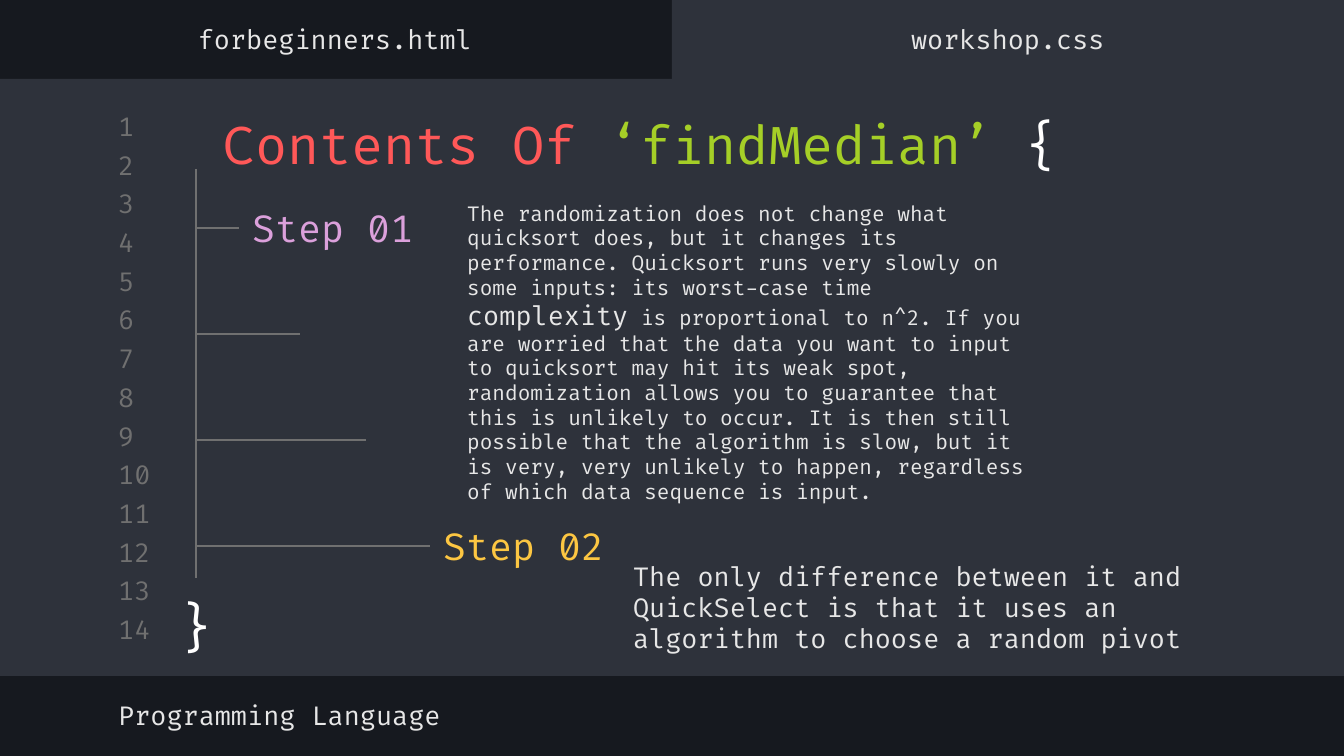
import pptx
import pptx.util
import pptx.dml.color
import pptx.enum.shapes
import pptx.enum.text
import pptx.oxml.ns
import lxml.etree

SCALE = 914400 / 134.4
FONT = "Fira Code"
INK = {
    "night": "16191F",
    "panel": "2E323B",
    "gray": "707070",
    "pale": "E7E7E7",
    "white": "FFFFFF",
    "red": "FF5858",
    "green": "A5CF27",
    "pink": "DBA0DB",
    "gold": "FCC642",
}
ALIGN = pptx.enum.text.PP_ALIGN
ANCHOR = pptx.enum.text.MSO_ANCHOR


def px(*nums):
    return [pptx.util.Emu(round(n * SCALE)) for n in nums]


def ink(name):
    return pptx.dml.color.RGBColor.from_string(INK[name])


def band(slide, *box):
    kind = pptx.enum.shapes.MSO_SHAPE.RECTANGLE
    shape = slide.shapes.add_shape(kind, *px(*box))
    shape.shadow.inherit = False
    shape.fill.solid()
    shape.fill.fore_color.rgb = ink("panel")
    shape.line.fill.background()


def text(slide, box, runs, align=ALIGN.LEFT, anchor=ANCHOR.MIDDLE):
    frame = slide.shapes.add_textbox(*px(*box)).text_frame
    frame.word_wrap = True
    frame.vertical_anchor = anchor
    inset = pptx.util.Inches(0.1)
    frame.margin_left = frame.margin_right = inset
    frame.margin_top = frame.margin_bottom = inset
    para = frame.paragraphs[0]
    para.alignment = align
    for words, size, tone in runs:
        run = para.add_run()
        run.text = words
        run.font.name = FONT
        run.font.size = pptx.util.Pt(size)
        run.font.color.rgb = ink(tone)


def line(slide, *ends):
    kind = pptx.enum.shapes.MSO_CONNECTOR.STRAIGHT
    link = slide.shapes.add_connector(kind, *px(*ends))
    link.line.color.rgb = ink("gray")
    link.line.width = pptx.util.Pt(0.75)
    props = link._element.spPr
    lxml.etree.SubElement(props, pptx.oxml.ns.qn("a:effectLst"))


def gutter(slide):
    for row in range(14):
        top = 110 + round(row * 503 / 13)
        text(slide, (105, top, 63, 32), [(str(row + 1), 14, "gray")])


def tree(slide):
    line(slide, 196, 169, 196, 578)
    for row, end in enumerate((239, 300, 366, 430)):
        y = 228 + 106 * row
        line(slide, 196, y, end, y)


def steps(slide):
    text(slide, (239, 185, 191, 86), [("Step 01", 20, "pink")])
    text(slide, (454, 309, 585, 86), [
        ("The randomization does not change what quicksort does, "
         "but it changes its performance. Quicksort runs very slowly "
         "on some inputs: its worst-case time ", 11, "pale"),
        ("complexity", 14, "pale"),
        (" is proportional to n^2. If you are worried that the data "
         "you want to input to quicksort may hit its weak spot, "
         "randomization allows you to guarantee that this is unlikely "
         "to occur. It is then still possible that the algorithm is "
         "slow, but it is very, very unlikely to happen, regardless of "
         "which data sequence is input.", 11, "pale"),
    ])
    text(slide, (430, 503, 191, 86), [("Step 02", 20, "gold")])
    text(slide, (620, 564, 585, 86), [
        ("The only difference between it and QuickSelect is that it "
         "uses an algorithm to choose a random pivot", 14, "pale"),
    ])


def main():
    deck = pptx.Presentation()
    deck.slide_width, deck.slide_height = px(1344, 756)
    slide = deck.slides.add_slide(deck.slide_layouts[6])
    slide.background.fill.solid()
    slide.background.fill.fore_color.rgb = ink("night")
    band(slide, 0, 79, 1344, 597)
    band(slide, 672, 0, 672, 87)
    gutter(slide)
    tree(slide)
    for left, name in ((-1, "forbeginners.html"), (672, "workshop.css")):
        text(slide, (left, 13, 672, 52), [(name, 14, "pale")], ALIGN.CENTER)
    text(slide, (105, 99, 1071, 79), [
        ("Contents Of ", 28, "red"),
        ("‘findMedian’", 28, "green"),
        (" {", 28, "white"),
    ], ALIGN.CENTER, ANCHOR.TOP)
    steps(slide)
    text(slide, (160, 581, 74, 90), [("}", 28, "white")],
         ALIGN.CENTER, ANCHOR.TOP)
    text(slide, (105, 689, 715, 52), [("Programming Language", 14, "pale")])
    deck.save("out.pptx")


if __name__ == "__main__":
    main()
